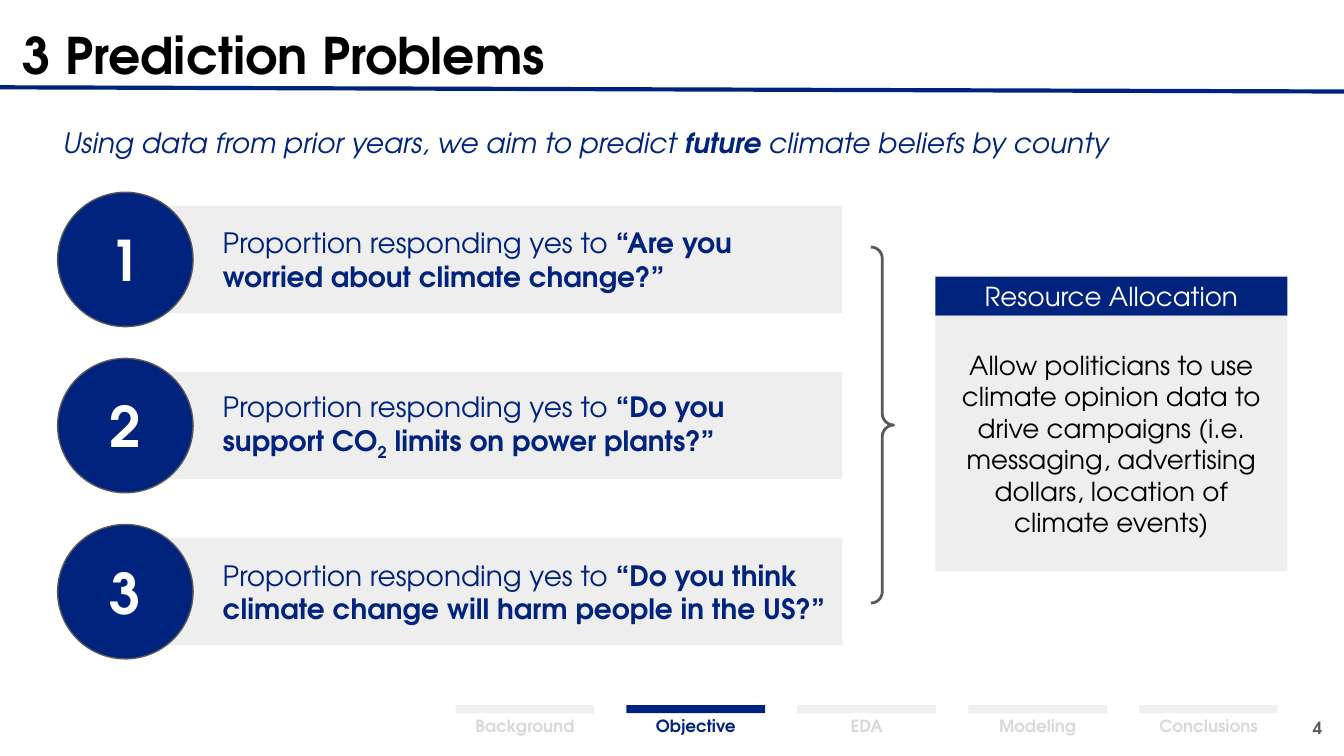
"""Build the slide on three prediction problems and their use."""
from lxml.etree import SubElement
from pptx import Presentation
from pptx.dml.color import RGBColor
from pptx.enum.shapes import MSO_CONNECTOR, MSO_SHAPE
from pptx.enum.text import MSO_ANCHOR, PP_ALIGN
from pptx.oxml.ns import qn
from pptx.util import Cm, Pt

NAVY, PALE, PANEL = "00237E", "EFEFEF", "EEEEEE"
GREY, FADED, WHITE, BLACK = "595959", "D9D9D9", "FFFFFF", "000000"
FONT = "TeX Gyre Adventor"

TITLE = "3 Prediction Problems"
AIM = [
    ("Using data from prior years, we aim to predict ", {}),
    ("future", {"bold": True}),
    (" climate beliefs by county", {}),
]
LEAD = "Proportion responding yes to "
QUESTIONS = [
    [("“Are you worried about climate change?”", {})],
    [("“Do you support CO", {}), ("2", {"baseline": -25000}),
     (" limits on power plants?”", {})],
    [("“Do you think climate change will harm people in the US?”", {})],
]
USE_HEADING = "Resource Allocation"
USE = ("Allow politicians to use climate opinion data to drive campaigns "
       "(i.e. messaging, advertising dollars, location of climate events)")
SECTIONS = ["Background", "Objective", "EDA", "Modeling", "Conclusions"]
CURRENT = "Objective"
PAGE = "4"

ROW_TOP, ROW_STEP, ROW_HEIGHT = 3.89, 3.14, 2.03
DISC_WIDTH, DISC_HEIGHT = 2.56, 2.54
NAV_LEFT, NAV_TOP, NAV_STEP, NAV_WIDTH = 8.61, 13.33, 3.23, 2.62
LABEL_WIDTH = 3.5
USE_LEFT, USE_TOP, USE_WIDTH, HEADING_HEIGHT = 17.68, 5.23, 6.65, 0.74


def color(code):
    return RGBColor.from_string(code)


def write(holder, runs, size, ink, align=PP_ALIGN.LEFT,
          anchor=MSO_ANCHOR.MIDDLE, left=0.25, **style):
    frame = holder.text_frame
    layout = {"word_wrap": True, "vertical_anchor": anchor,
              "margin_left": Cm(left), "margin_right": Cm(0.25),
              "margin_top": Cm(0.25), "margin_bottom": Cm(0.25)}
    for name, value in layout.items():
        setattr(frame, name, value)
    paragraph = frame.paragraphs[0]
    paragraph.alignment = align
    for words, extra in runs:
        run = paragraph.add_run()
        run.text = words
        run.font.color.rgb = color(ink)
        look = {"name": FONT, "size": Pt(size), **style, **extra}
        baseline = look.pop("baseline", None)
        for name, value in look.items():
            setattr(run.font, name, value)
        if baseline:
            run.font._element.set("baseline", str(baseline))


def add_text(slide, box, words, size, ink, **style):
    holder = slide.shapes.add_textbox(*map(Cm, box))
    write(holder, [(words, {})], size, ink, **style)


def add_shape(slide, kind, box, fill=None, line=None, weight=0.75):
    shape = slide.shapes.add_shape(kind, *map(Cm, box))
    shape.shadow.inherit = False
    if fill:
        shape.fill.solid()
        shape.fill.fore_color.rgb = color(fill)
    else:
        shape.fill.background()
    if line:
        shape.line.color.rgb = color(line)
        shape.line.width = Pt(weight)
    else:
        shape.line.fill.background()
    return shape


def add_header(slide):
    rule = slide.shapes.add_connector(
        MSO_CONNECTOR.STRAIGHT, Cm(0), Cm(1.65), Cm(25.48), Cm(1.73))
    rule.line.color.rgb = color(NAVY)
    rule.line.width = Pt(2.25)
    SubElement(rule._element.spPr, qn("a:effectLst"))
    add_text(slide, (0.18, 0.2, 22.68, 1.4), TITLE, 27, BLACK,
             anchor=MSO_ANCHOR.TOP, bold=True)
    aim = add_shape(slide, MSO_SHAPE.RECTANGLE, (0.94, 2.16, 23.65, 1.07), WHITE)
    write(aim, AIM, 15, NAVY, italic=True)


def add_questions(slide):
    for index, question in enumerate(QUESTIONS):
        top = ROW_TOP + index * ROW_STEP
        bar = add_shape(slide, MSO_SHAPE.RECTANGLE,
                        (1.9, top, 14.02, ROW_HEIGHT), PANEL)
        write(bar, [(LEAD, {"bold": False})] + question, 15, NAVY,
              left=2.31, bold=True)
        disc_top = top + (ROW_HEIGHT - DISC_HEIGHT) / 2
        disc = add_shape(slide, MSO_SHAPE.OVAL,
                         (1.09, disc_top, DISC_WIDTH, DISC_HEIGHT), NAVY, GREY)
        write(disc, [(str(index + 1), {})], 30, WHITE,
              align=PP_ALIGN.CENTER, bold=True)


def add_use(slide):
    brace = add_shape(slide, MSO_SHAPE.RIGHT_BRACE, (16.46, 4.67, 0.43, 6.73),
                      line=GREY, weight=1.5)
    brace.adjustments[0] = 0.5
    brace.adjustments[1] = 0.5
    parts = [(USE_HEADING, USE_TOP, HEADING_HEIGHT, NAVY, WHITE),
             (USE, USE_TOP + HEADING_HEIGHT, 4.83, PANEL, BLACK)]
    for words, top, height, fill, ink in parts:
        panel = add_shape(slide, MSO_SHAPE.RECTANGLE,
                          (USE_LEFT, top, USE_WIDTH, height), fill)
        write(panel, [(words, {})], 14, ink, align=PP_ALIGN.CENTER)


def add_navigation(slide):
    for index, section in enumerate(SECTIONS):
        left = NAV_LEFT + index * NAV_STEP
        fill, ink = (NAVY, NAVY) if section == CURRENT else (PALE, FADED)
        add_shape(slide, MSO_SHAPE.RECTANGLE,
                  (left, NAV_TOP, NAV_WIDTH, 0.15), fill)
        label_left = left + (NAV_WIDTH - LABEL_WIDTH) / 2
        add_text(slide, (label_left, NAV_TOP, LABEL_WIDTH, 0.71), section, 9,
                 ink, align=PP_ALIGN.CENTER, anchor=MSO_ANCHOR.TOP, bold=True)
    add_text(slide, (23.72, 13.21, 1.52, 1.09), PAGE, 9, GREY,
             align=PP_ALIGN.RIGHT, bold=True)


def main():
    deck = Presentation()
    deck.slide_width, deck.slide_height = Cm(25.4), Cm(14.29)
    slide = deck.slides.add_slide(deck.slide_layouts[6])
    add_header(slide)
    add_questions(slide)
    add_use(slide)
    add_navigation(slide)
    deck.save("out.pptx")


if __name__ == "__main__":
    main()
